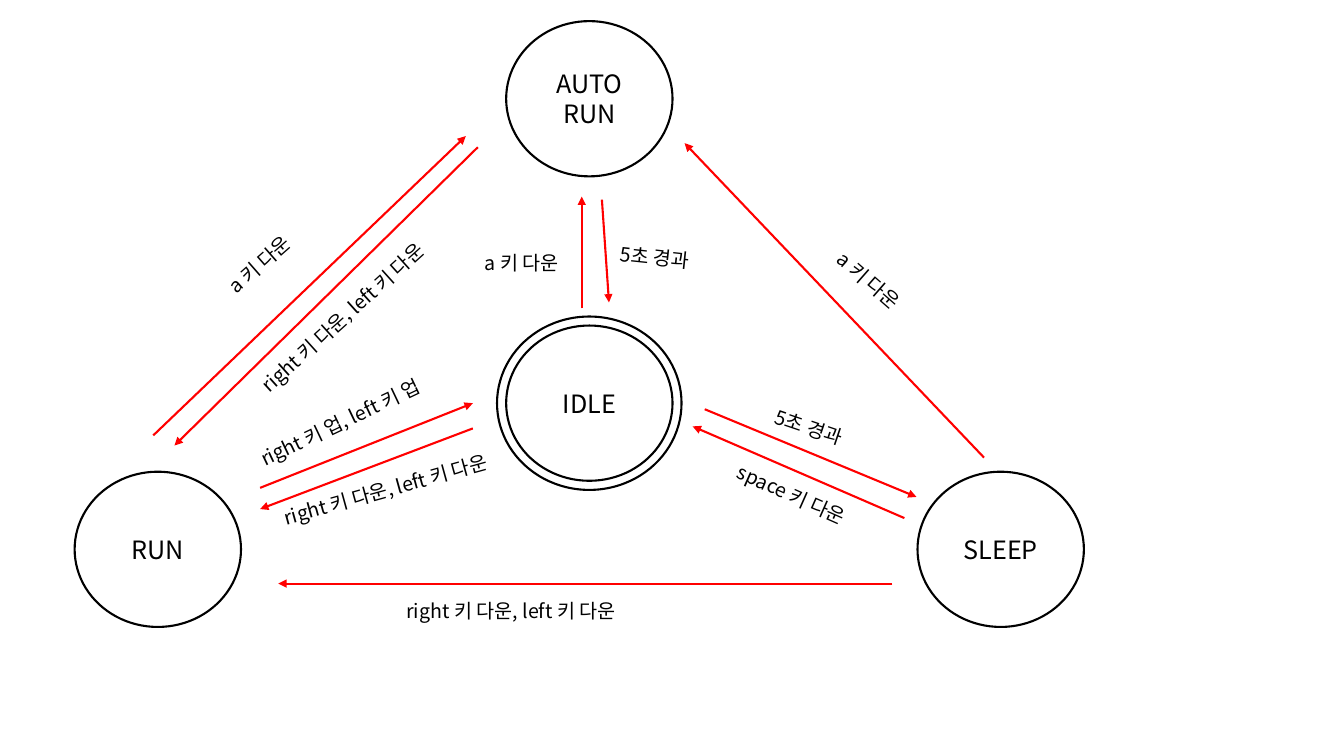
from dataclasses import dataclass

from lxml import etree
from pptx import Presentation
from pptx.dml.color import RGBColor
from pptx.enum.shapes import MSO_CONNECTOR, MSO_SHAPE
from pptx.enum.text import MSO_ANCHOR, MSO_AUTO_SIZE, PP_ALIGN
from pptx.oxml.ns import qn
from pptx.util import Inches, Pt

ELLIPSE = MSO_SHAPE.OVAL
STRAIGHT = MSO_CONNECTOR.STRAIGHT
MIDDLE = MSO_ANCHOR.MIDDLE
CENTER = PP_ALIGN.CENTER
FIT_TEXT = MSO_AUTO_SIZE.SHAPE_TO_FIT_TEXT


@dataclass(frozen=True)
class Theme:
    font: str = "Noto Sans CJK KR"
    ink: RGBColor = RGBColor(0x00, 0x00, 0x00)
    paper: RGBColor = RGBColor(0xFF, 0xFF, 0xFF)
    arrow: RGBColor = RGBColor(0xFF, 0x00, 0x00)
    state_size: Pt = Pt(18)
    event_size: Pt = Pt(14)
    stroke: Pt = Pt(1.5)


THEME = Theme()


def add_run(paragraph, text, size):
    run = paragraph.add_run()
    run.text = text
    run.font.size = size
    run.font.color.rgb = THEME.ink
    run.font.name = THEME.font
    east_asian = etree.SubElement(run.font._element, qn("a:ea"))
    east_asian.set("typeface", THEME.font)


def add_circle(left, top, width, height):
    circle = slide.shapes.add_shape(
        ELLIPSE, Inches(left), Inches(top), Inches(width), Inches(height))
    circle.shadow.inherit = False
    circle.fill.solid()
    circle.fill.fore_color.rgb = THEME.paper
    circle.line.color.rgb = THEME.ink
    circle.line.width = THEME.stroke
    return circle


prs = Presentation()
prs.slide_width = Inches(13.33)
prs.slide_height = Inches(7.5)
slide = prs.slides.add_slide(prs.slide_layouts[6])

# States: lines of the name, left, top
STATE_WIDTH, STATE_HEIGHT, RING_GAP = 1.65, 1.54, 0.09
START_STATE = ["IDLE"]
states = [
    (START_STATE, 5.02, 3.23),
    (["RUN"], 0.74, 4.68),
    (["SLEEP"], 9.1, 4.68),
    (["AUTO", "RUN"], 5.02, 0.21),
]
for name_lines, left, top in states:
    if name_lines == START_STATE:
        add_circle(left - RING_GAP, top - RING_GAP,
                   STATE_WIDTH + 2 * RING_GAP, STATE_HEIGHT + 2 * RING_GAP)
    state = add_circle(left, top, STATE_WIDTH, STATE_HEIGHT)
    state.text_frame.vertical_anchor = MIDDLE
    name = state.text_frame.paragraphs[0]
    name.alignment = CENTER
    for index, line in enumerate(name_lines):
        if index:
            name.add_line_break()
        add_run(name, line, THEME.state_size)

# Transitions: arrow start, arrow end, event, label left and top, label rotation
MOVE = "right 키 다운, left 키 다운"
STOP = "right 키 업, left 키 업"
AUTO = "a 키 다운"
TIMEOUT = "5초 경과"
WAKE = "space 키 다운"
LABEL_WIDTH, LABEL_HEIGHT = 4.31, 0.34
transitions = [
    ((8.85, 5.79), (2.76, 5.79), MOVE, (3.93, 5.89), 0),
    ((2.58, 4.84), (4.69, 4.0), STOP, (2.3, 3.51), 334.6),
    ((4.69, 4.25), (2.58, 5.05), MOVE, (2.65, 4.42), 344.5),
    ((6.99, 4.06), (9.09, 4.93), TIMEOUT, (7.49, 4.62), 18.7),
    ((8.97, 5.14), (6.87, 4.23), WAKE, (7.05, 5.34), 24),
    ((5.77, 3.06), (5.77, 1.95), AUTO, (4.71, 2.44), 0),
    ((1.52, 4.32), (4.62, 1.35), AUTO, (1.69, 1.34), 318.7),
    ((9.76, 4.54), (6.79, 1.42), AUTO, (7.73, 3.73), 41.3),
    ((4.74, 1.46), (1.73, 4.42), MOVE, (2.0, 2.3), 318),
    ((5.97, 1.98), (6.04, 3.0), TIMEOUT, (6.04, 2.57), 6.2),
]
for start, end, event, (left, top), rotation in transitions:
    arrow = slide.shapes.add_connector(
        STRAIGHT, *(Inches(value) for value in start + end))
    arrow.line.color.rgb = THEME.arrow
    arrow.line.width = THEME.stroke
    etree.SubElement(arrow.line._get_or_add_ln(), qn("a:tailEnd")).set("type", "triangle")
    etree.SubElement(arrow._element.spPr, qn("a:effectLst"))

    label = slide.shapes.add_textbox(
        Inches(left), Inches(top), Inches(LABEL_WIDTH), Inches(LABEL_HEIGHT))
    label.rotation = rotation
    label.text_frame.word_wrap = True
    label.text_frame.auto_size = FIT_TEXT
    add_run(label.text_frame.paragraphs[0], event, THEME.event_size)

prs.save("out.pptx")
